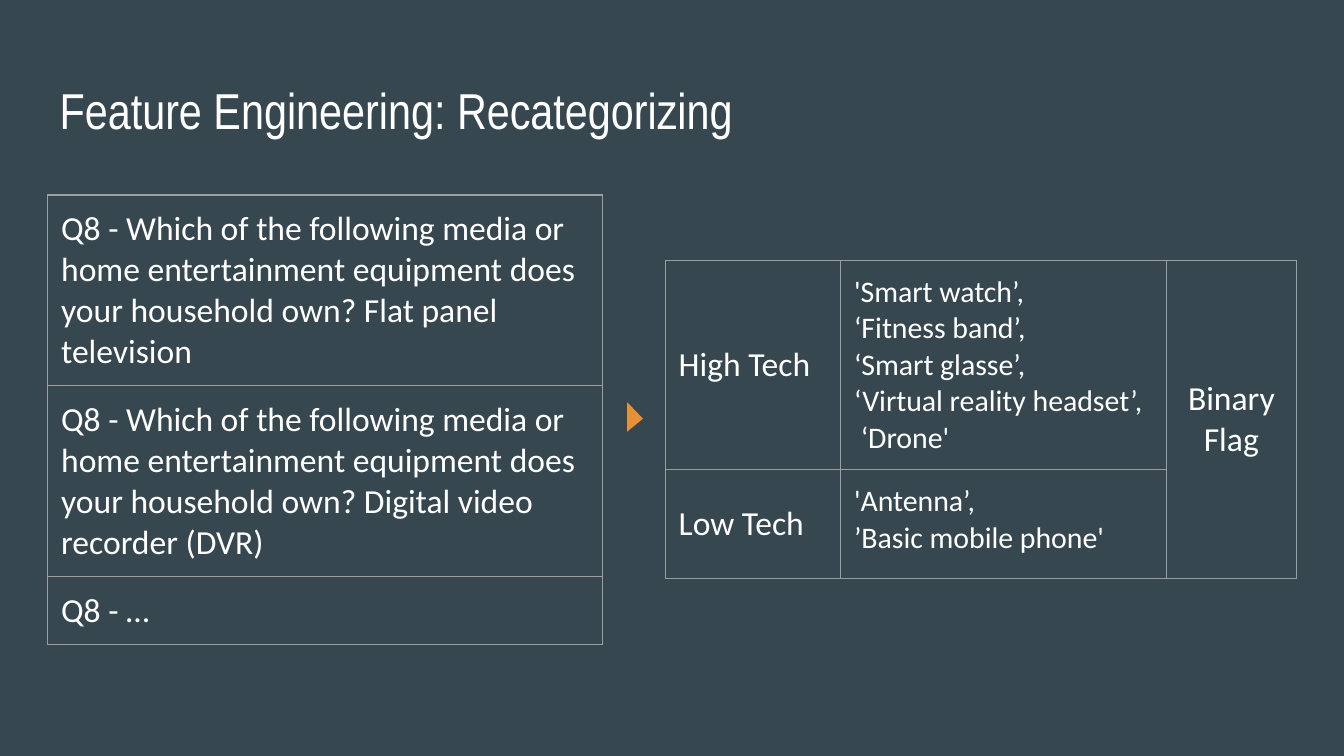
from lxml import etree
from pptx import Presentation
from pptx import util as u
from pptx.dml.color import RGBColor
from pptx.enum import shapes, text
from pptx.oxml import ns

BACKGROUND = RGBColor(0x37, 0x47, 0x4F)
WHITE = RGBColor(0xFF, 0xFF, 0xFF)
BORDER = RGBColor(0x9E, 0x9E, 0x9E)
ORANGE = RGBColor(0xE6, 0x91, 0x38)
WIDTH = u.Inches(10)
HEIGHT = u.Emu(WIDTH * 9 // 16)
COLUMN, ROW = WIDTH / 100, HEIGHT / 100
INSET = u.Inches(0.1)
QUESTION = "Q8 - Which of the following media or home entertainment equipment does your household own? "


def columns(count):
    return u.Emu(round(count * COLUMN))


def rows(count):
    return u.Emu(round(count * ROW))


def place(left, top, width, height):
    return columns(left), rows(top), columns(width), rows(height)


def write(frame, content, size=18, font="Calibri", align=text.PP_ALIGN.LEFT):
    frame.word_wrap = True
    for index, line in enumerate(content.split("\n")):
        paragraph = frame.paragraphs[0] if index == 0 else frame.add_paragraph()
        paragraph.alignment = align
        run = paragraph.add_run()
        run.text = line
        run.font.size = u.Pt(size)
        run.font.name = font
        run.font.color.rgb = WHITE


def set_insets(target):
    target.margin_left = target.margin_right = INSET
    target.margin_top = target.margin_bottom = INSET


def add_borders(cell):
    properties = cell._tc.get_or_add_tcPr()
    for index, side in enumerate(("a:lnL", "a:lnR", "a:lnT", "a:lnB")):
        line = etree.Element(ns.qn(side), w=str(u.Pt(0.75)))
        fill = etree.SubElement(line, ns.qn("a:solidFill"))
        etree.SubElement(fill, ns.qn("a:srgbClr"), val=str(BORDER))
        properties.insert(index, line)


def add_grid(slide, left, top, widths, heights):
    box = place(left, top, sum(widths), sum(heights))
    table = slide.shapes.add_table(len(heights), len(widths), *box).table
    table.first_row = table.horz_banding = False
    for column, width in zip(table.columns, widths):
        column.width = columns(width)
    for row, height in zip(table.rows, heights):
        row.height = rows(height)
    for cell in table.iter_cells():
        cell.fill.background()
        set_insets(cell)
        add_borders(cell)
    return table


def add_title(slide, left, top, width, height):
    frame = slide.shapes.add_textbox(*place(left, top, width, height)).text_frame
    set_insets(frame)
    write(frame, "Feature Engineering: Recategorizing", size=27, font="Arial Narrow")


def add_questions(slide, left, top, width, heights):
    table = add_grid(slide, left, top, [width], heights)
    questions = (QUESTION + "Flat panel television", QUESTION + "Digital video recorder (DVR)", "Q8 - …")
    for index, question in enumerate(questions):
        write(table.cell(index, 0).text_frame, question)


def add_categories(slide, left, top, widths, heights):
    table = add_grid(slide, left, top, widths, heights)
    categories = (
        ("High Tech", "'Smart watch’,\n‘Fitness band’,\n‘Smart glasse’,\n‘Virtual reality headset’,\n ‘Drone'"),
        ("Low Tech", "'Antenna’,\n’Basic mobile phone'"),
    )
    for index, (name, devices) in enumerate(categories):
        write(table.cell(index, 0).text_frame, name)
        table.cell(index, 0).vertical_anchor = text.MSO_ANCHOR.MIDDLE
        write(table.cell(index, 1).text_frame, devices, size=16)
    flag = table.cell(0, 2)
    flag.merge(table.cell(1, 2))
    flag.vertical_anchor = text.MSO_ANCHOR.MIDDLE
    write(flag.text_frame, "Binary Flag", align=text.PP_ALIGN.CENTER)


def add_pointer(slide, left, top, width, height):
    box = place(left, top, width, height)
    pointer = slide.shapes.add_shape(shapes.MSO_SHAPE.ISOSCELES_TRIANGLE, *box)
    pointer.adjustments[0] = 0.56
    pointer.rotation = 90
    pointer.shadow.inherit = False
    pointer.fill.solid()
    pointer.fill.fore_color.rgb = ORANGE
    pointer.line.fill.background()


def main():
    presentation = Presentation()
    presentation.slide_width, presentation.slide_height = WIDTH, HEIGHT
    slide = presentation.slides.add_slide(presentation.slide_layouts[6])
    slide.background.fill.solid()
    slide.background.fill.fore_color.rgb = BACKGROUND
    add_title(slide, 3.45, 8.7, 93.2, 11.2)
    add_questions(slide, 3.55, 25.8, 41.3, [25.25, 25.25, 9])
    add_categories(slide, 49.5, 34.45, [13.05, 24.25, 9.65], [27.7, 14.4])
    add_pointer(slide, 46.15, 54.1, 2.2, 2.1)
    presentation.save("out.pptx")


if __name__ == "__main__":
    main()
